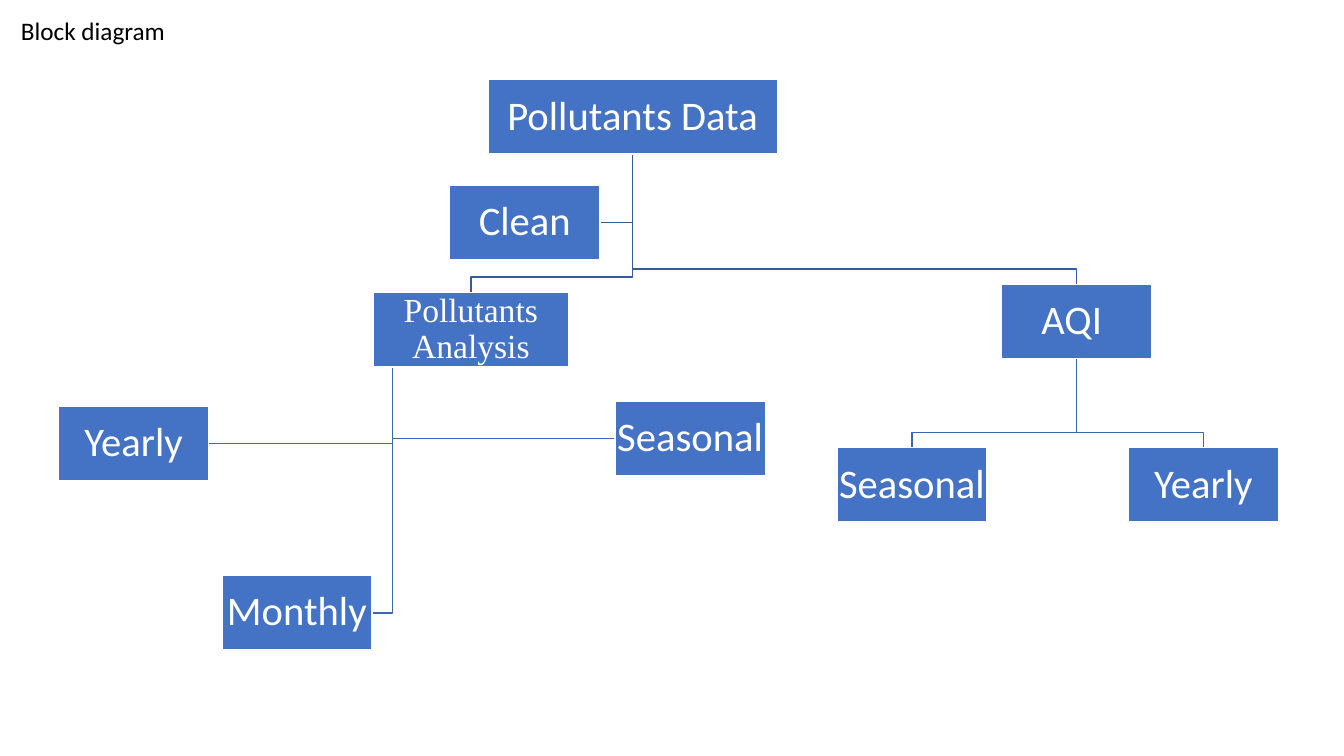
from pptx import Presentation
from pptx.dml.color import RGBColor
from pptx.enum.shapes import MSO_SHAPE
from pptx.enum.text import MSO_ANCHOR, PP_ALIGN
from pptx.util import Inches, Pt

BLUE = RGBColor(0x44, 0x72, 0xC4)
UPPER_LINE = RGBColor(0x36, 0x5B, 0x9D)
LOWER_LINE = RGBColor(0x3E, 0x67, 0xB2)
WHITE = RGBColor(0xFF, 0xFF, 0xFF)
BLACK = RGBColor(0, 0, 0)

BOX_W, BOX_H = 1.49, 0.74
ELBOW = 0.15  # height of the last drop into a box


def write(frame, text, size=29, font="Calibri", color=WHITE, align=PP_ALIGN.CENTER,
          spacing=0.9, wrap=True):
    frame.word_wrap = wrap
    paragraph = frame.paragraphs[0]
    paragraph.alignment = align
    paragraph.line_spacing = spacing
    run = paragraph.add_run()
    run.text = text
    run.font.size = Pt(size)
    run.font.name = font
    run.font.color.rgb = color


def draw_branch(shapes, points, color):
    """Draw an open line through points given in inches."""
    start, *rest = [(Inches(x), Inches(y)) for x, y in points]
    builder = shapes.build_freeform(*start)
    builder.add_line_segments(rest, close=False)
    branch = builder.convert_to_shape()
    branch.fill.background()
    branch.line.color.rgb = color
    branch.line.width = Pt(1)
    branch.shadow.inherit = False


prs = Presentation()
prs.slide_width, prs.slide_height = Inches(13.33), Inches(7.5)
shapes = prs.slides.add_slide(prs.slide_layouts[6]).shapes

heading = shapes.add_textbox(Inches(0.11), Inches(0.1), Inches(13.07), Inches(0.4))
write(heading.text_frame, "Block diagram", size=18, color=BLACK,
      align=PP_ALIGN.LEFT, spacing=1.0)

# key: text, left, top, width
boxes = {
    "data": ("Pollutants Data", 4.84, 0.79, 2.87),
    "analysis": ("Pollutants Analysis", 3.7, 2.9, 1.94),
    "analysis seasonal": ("Seasonal", 6.1, 3.98, BOX_W),
    "analysis monthly": ("Monthly", 2.2, 5.71, BOX_W),
    "analysis yearly": ("Yearly", 0.58, 4.03, BOX_W),
    "aqi": ("AQI ", 9.93, 2.82, BOX_W),
    "aqi seasonal": ("Seasonal", 8.3, 4.44, BOX_W),
    "aqi yearly": ("Yearly", 11.19, 4.44, BOX_W),
    "clean": ("Clean", 4.46, 1.84, BOX_W),
}

# Branches that enter a box from above
for parent, child, color in [
    ("aqi", "aqi yearly", LOWER_LINE),
    ("aqi", "aqi seasonal", LOWER_LINE),
    ("data", "aqi", UPPER_LINE),
    ("data", "analysis", UPPER_LINE),
]:
    _, left, top, width = boxes[parent]
    _, child_left, child_top, child_width = boxes[child]
    trunk, drop = left + width / 2, child_left + child_width / 2
    bend = child_top - ELBOW
    draw_branch(shapes, [(trunk, top + BOX_H), (trunk, bend), (drop, bend),
                         (drop, child_top)], color)

# Branches that enter a box from the side; trunk is a share of the parent's width
for parent, child, trunk_share, color in [
    ("data", "clean", 0.5, UPPER_LINE),
    ("analysis", "analysis yearly", 0.1, LOWER_LINE),
    ("analysis", "analysis monthly", 0.1, LOWER_LINE),
    ("analysis", "analysis seasonal", 0.1, LOWER_LINE),
]:
    _, left, top, width = boxes[parent]
    _, child_left, child_top, child_width = boxes[child]
    trunk, middle = left + width * trunk_share, child_top + BOX_H / 2
    side = child_left if child_left > trunk else child_left + child_width
    draw_branch(shapes, [(trunk, top + BOX_H), (trunk, middle), (side, middle)], color)

for key, (text, left, top, width) in boxes.items():
    box = shapes.add_shape(MSO_SHAPE.RECTANGLE, Inches(left), Inches(top),
                           Inches(width), Inches(BOX_H))
    box.shadow.inherit = False
    box.fill.solid()
    box.fill.fore_color.rgb = BLUE
    box.line.color.rgb = WHITE
    box.line.width = Pt(1)
    frame = box.text_frame
    frame.vertical_anchor = MSO_ANCHOR.MIDDLE
    frame.margin_left = frame.margin_right = Inches(0.02)
    frame.margin_top = frame.margin_bottom = Inches(0.02)
    if key == "analysis":
        write(frame, text, size=24, font="Times New Roman")
    else:
        write(frame, text, wrap=False)

prs.save("out.pptx")
